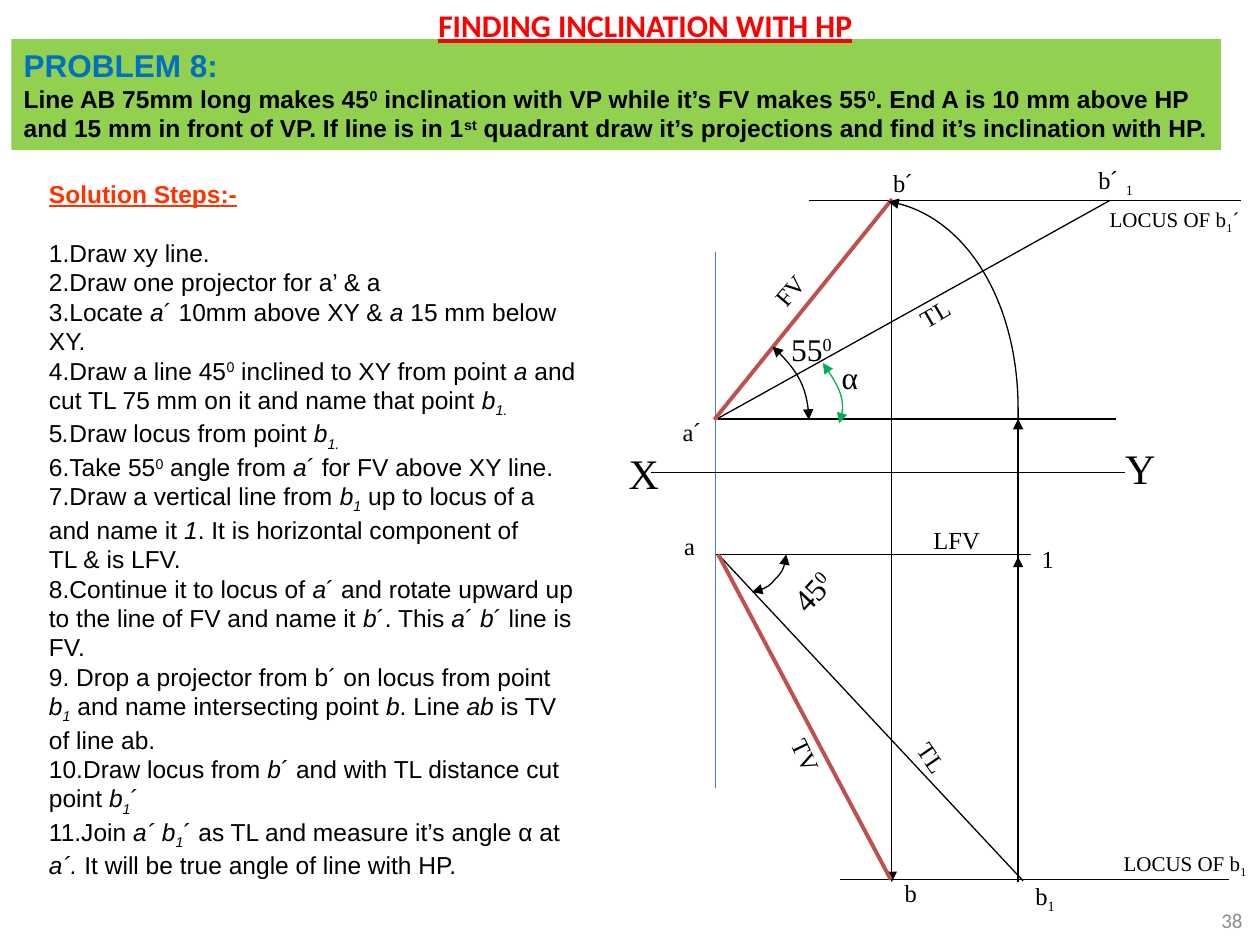
"""Builds the slide on finding a line's inclination with HP from its projections."""
from dataclasses import dataclass

from lxml.etree import SubElement
from pptx import Presentation
from pptx.dml.color import RGBColor
from pptx.enum.shapes import MSO_CONNECTOR, MSO_SHAPE
from pptx.enum.text import MSO_ANCHOR, MSO_AUTO_SIZE as AutoSize, PP_ALIGN
from pptx.oxml.ns import qn
from pptx.util import Pt

BLACK, RED, ORANGE, BLUE = "000000", "FF0000", "FF3300", "0070C0"
STEEL, BRICK, GREEN, LIME, GREY = "4B7EBC", "C0504D", "00B050", "92D050", "8C8C8C"
SERIF, SANS, TITLE_FACE = "Times New Roman", "Arial", "Calibri"

LOCUS_B_FRONT, LEVEL_A_FRONT, LEVEL_XY, LEVEL_A_TOP, LOCUS_B1 = 114.5, 239.4, 270, 316.8, 502.6
PROJECTOR_A, PROJECTOR_B, PROJECTOR_B1 = 409, 509.6, 581.8


@dataclass(frozen=True)
class Style:
    size: float
    color: str = BLACK
    face: str = SERIF
    bold: bool = False
    underline: bool = False


@dataclass(frozen=True)
class Line:
    start: tuple[float, float]
    end: tuple[float, float]
    color: str = BLACK
    width: float = 0.75
    head: bool = False
    tail: bool = False


@dataclass(frozen=True)
class Arc:
    points: tuple[tuple[float, float], ...]
    color: str = BLACK
    tail: bool = True


@dataclass(frozen=True)
class Label:
    text: str
    box: tuple[float, float, float, float]
    size: float = 14
    rotation: float = 0


HEADING = Style(18, RED, TITLE_FACE, bold=True, underline=True)
PROBLEM_HEADING = Style(18, BLUE, SANS, bold=True)
PROBLEM_BODY = Style(14, BLACK, SANS, bold=True)
STEPS_HEADING = Style(14, ORANGE, SANS, bold=True, underline=True)
STEP = Style(14, BLACK, SANS)
PAGE = Style(12, GREY, TITLE_FACE)

LINES = [
    Line((PROJECTOR_A, 144), (PROJECTOR_A, 450), STEEL),
    Line((372.2, LEVEL_XY), (643, LEVEL_XY)),
    Line((410.4, LEVEL_A_FRONT), (638, LEVEL_A_FRONT)),
    Line((PROJECTOR_A, LEVEL_A_TOP), (589, LEVEL_A_TOP)),
    Line((410.4, LEVEL_A_TOP), (584.6, 503.3)),
    Line((409.7, LEVEL_A_FRONT), (634.3, LOCUS_B_FRONT)),
    Line((PROJECTOR_B1, 318.2), (PROJECTOR_B1, 504), head=True),
    Line((462.2, LOCUS_B_FRONT), (709.2, LOCUS_B_FRONT)),
    Line((480.2, LOCUS_B1), (702, LOCUS_B1)),
    Line((PROJECTOR_B1, 329.8), (PROJECTOR_B1, LEVEL_A_FRONT), tail=True),
    Line((PROJECTOR_B, LOCUS_B_FRONT), (PROJECTOR_B, 504), tail=True),
    Line((408.2, 239.8), (509.8, 113.8), BRICK, 2.25),
    Line((509, LOCUS_B1), (410.4, LEVEL_A_TOP), BRICK, 2.25),
]
ARCS = [
    Arc(((449.3, 316.8), (449.3, 321.8), (447.1, 326.9), (442.8, 331.2),
         (439.9, 334.8), (434.9, 337.7), (429.8, 338.4))),
    Arc(((507.6, 115.2), (550.1, 121.7), (581.8, 172.8), (581.8, 234),
         (581.8, 236.9), (581.8, 239.8), (581.8, 241.9)), tail=False),
    Arc(((441.4, 198), (454.3, 209.5), (462.2, 223.9), (462.2, 239.8))),
    Arc(((470.2, 207.4), (480.2, 221), (483.8, 233.3), (479.5, 241.9)), GREEN),
]
LABELS = [
    Label("X", (352.1, 252, 31.7, 36), 24),
    Label("Y", (635.8, 249.1, 32.4, 36), 24),
    Label("a", (383.8, 300.2, 20.9, 23.8)),
    Label("a`´`", (383, 234.7, 25.2, 24.5)),
    Label("b~1~", (584.6, 499.7, 25.9, 24.5)),
    Label(" 45^0^", (441.4, 324.7, 43.2, 28.8), 18, 313),
    Label("TL", (517, 421.2, 31.7, 23.8), rotation=55.4),
    Label("1", (588.2, 307.4, 21.6, 23.8)),
    Label("b`´ `~1~", (620.6, 90.7, 34.6, 24.5)),
    Label("b`´`", (503.3, 92.2, 25.9, 24.5)),
    Label("LFV", (526.3, 296.6, 41, 23.8)),
    Label("FV", (434.9, 154.1, 32.4, 23.8), rotation=310.6),
    Label("TL", (518.4, 167, 31.7, 23.8), rotation=329.9),
    Label("55^0^", (445, 185, 38.9, 28.8), 18),
    Label("b", (509.8, 498.2, 21.6, 23.8)),
    Label("TV", (444.2, 419.8, 33.1, 23.8), rotation=64.2),
    Label("LOCUS OF b~1~", (635, 482.4, 85.7, 36), 12),
    Label("LOCUS OF b~1~´", (627, 114.5, 90.5, 21.6), 12),
    Label("α", (473.8, 200.9, 23.8, 28.8), 18),
]
PROBLEM = (
    "Line AB 75mm long makes 45^0^ inclination with VP while it’s FV makes 55^0^. "
    "End A is 10 mm above HP and 15 mm in front of VP. If line is in 1^st^ quadrant "
    "draw it’s projections and find it’s inclination with HP."
)
STEPS = [
    "1.Draw xy line.",
    "2.Draw one projector for a’ & a",
    "3.Locate *a*´ 10mm above XY & *a* 15 mm below XY.",
    "4.Draw a line 45^0^ inclined to XY from point *a* and cut TL 75 mm on it "
    "and name that point *b~1.~*",
    "5*.*Draw locus from point *b~1.~*",
    "6.Take 55^0^ angle from *a*´ for FV above XY line.",
    "7.Draw a vertical line from *b~1~* up to locus of a and name it *1*. "
    "It is horizontal component of",
    "TL & is LFV.",
    "8.Continue it to locus of *a*´ and rotate upward up to the line of FV "
    "and name it *b*´. This *a*´ *b*´ line is FV.",
    "9. Drop a projector from b´ on locus from point *b~1~* and name intersecting "
    "point *b*. Line *ab* is TV of line ab.",
    "10.Draw locus from *b*´ and with TL distance cut point *b~1~*´",
    "11.Join *a´ b~1~*´ as TL and measure it’s angle α at *a´.* "
    "It will be true angle of line with HP.",
]


def rgb(color: str) -> RGBColor:
    return RGBColor.from_string(color)


def split_markup(text: str) -> list[tuple[str, frozenset[str]]]:
    """Split at toggles: * italic, ^ superscript, ~ subscript, ` sans face."""
    pieces, active, current = [], frozenset(), ""
    for char in text:
        if char not in "*^~`":
            current += char
            continue
        if current:
            pieces.append((current, active))
        active, current = active ^ {char}, ""
    return pieces + [(current, active)] if current else pieces


def write(paragraph, text: str, style: Style) -> None:
    font = paragraph.font
    font.size, font.name, font.bold = Pt(style.size), style.face, style.bold
    font.underline = style.underline
    font.color.rgb = rgb(style.color)
    for piece, marks in split_markup(text):
        run = paragraph.add_run()
        run.text = piece
        if "*" in marks:
            run.font.italic = True
        if "`" in marks:
            run.font.name = SANS
        for mark, baseline in (("^", "30000"), ("~", "-25000")):
            if mark in marks:
                run._r.get_or_add_rPr().set("baseline", baseline)


def add_text(slide, box, content: list[tuple[str, Style]], wrap: bool = True):
    area = slide.shapes.add_textbox(*map(Pt, box))
    fill_frame(area.text_frame, content, wrap)
    return area


def fill_frame(frame, content: list[tuple[str, Style]], wrap: bool = True) -> None:
    frame.word_wrap = wrap
    frame.auto_size = AutoSize.SHAPE_TO_FIT_TEXT
    for index, (text, style) in enumerate(content):
        write(frame.add_paragraph() if index else frame.paragraphs[0], text, style)


def draw_stroke(shape, color: str, width: float, head: bool, tail: bool) -> None:
    shape.line.color.rgb = rgb(color)
    shape.line.width = Pt(width)
    for end, shown in (("a:headEnd", head), ("a:tailEnd", tail)):
        if shown:
            SubElement(shape.line._get_or_add_ln(), qn(end), type="triangle")


def draw_line(slide, line: Line) -> None:
    connector = slide.shapes.add_connector(
        MSO_CONNECTOR.STRAIGHT, *map(Pt, line.start + line.end))
    draw_stroke(connector, line.color, line.width, line.head, line.tail)
    SubElement(connector._element.spPr, qn("a:effectLst"))


def draw_arc(slide, arc: Arc) -> None:
    """Draw Bezier curves, three points to each after the first."""
    points = [(Pt(x), Pt(y)) for x, y in arc.points]
    builder = slide.shapes.build_freeform(*points[0])
    builder.add_line_segments(points[1:], close=False)
    curve = builder.convert_to_shape()
    outline = curve._element.find(".//" + qn("a:path"))
    for index, segment in enumerate(outline.findall(qn("a:lnTo"))):
        if index % 3 == 0:
            bezier = SubElement(outline, qn("a:cubicBezTo"))
        bezier.append(segment[0])
        outline.remove(segment)
    curve.fill.background()
    draw_stroke(curve, arc.color, 0.75, True, arc.tail)
    curve.shadow.inherit = False


def draw_label(slide, label: Label) -> None:
    area = add_text(slide, label.box, [(label.text, Style(label.size))], wrap=False)
    area.rotation = label.rotation


def draw_problem(slide) -> None:
    banner = slide.shapes.add_shape(MSO_SHAPE.RECTANGLE, *map(Pt, (6.5, 22.3, 691.2, 63.4)))
    banner.shadow.inherit = False
    banner.fill.solid()
    banner.fill.fore_color.rgb = rgb(LIME)
    banner.line.fill.background()
    fill_frame(banner.text_frame, [("PROBLEM 8:", PROBLEM_HEADING), (PROBLEM, PROBLEM_BODY)])
    for paragraph in banner.text_frame.paragraphs:
        paragraph.alignment = PP_ALIGN.LEFT


def main() -> None:
    deck = Presentation()
    deck.slide_width, deck.slide_height = Pt(720), Pt(540)
    slide = deck.slides.add_slide(deck.slide_layouts[6])
    for line in LINES:
        draw_line(slide, line)
    for arc in ARCS:
        draw_arc(slide, arc)
    for label in LABELS:
        draw_label(slide, label)
    draw_problem(slide)
    solution = add_text(slide, (20.9, 98.6, 316.1, 397.4),
                        [("Solution Steps:-", STEPS_HEADING)] + [(step, STEP) for step in STEPS])
    solution.text_frame.paragraphs[0].space_after = Pt(17)
    page = add_text(slide, (555.1, 511.2, 162, 28.8), [("38", PAGE)]).text_frame
    page.auto_size, page.vertical_anchor = AutoSize.NONE, MSO_ANCHOR.MIDDLE
    page.paragraphs[0].alignment = PP_ALIGN.RIGHT
    add_text(slide, (243.4, 0, 288, 28.8), [("FINDING INCLINATION WITH HP", HEADING)])
    deck.save("out.pptx")


if __name__ == "__main__":
    main()
